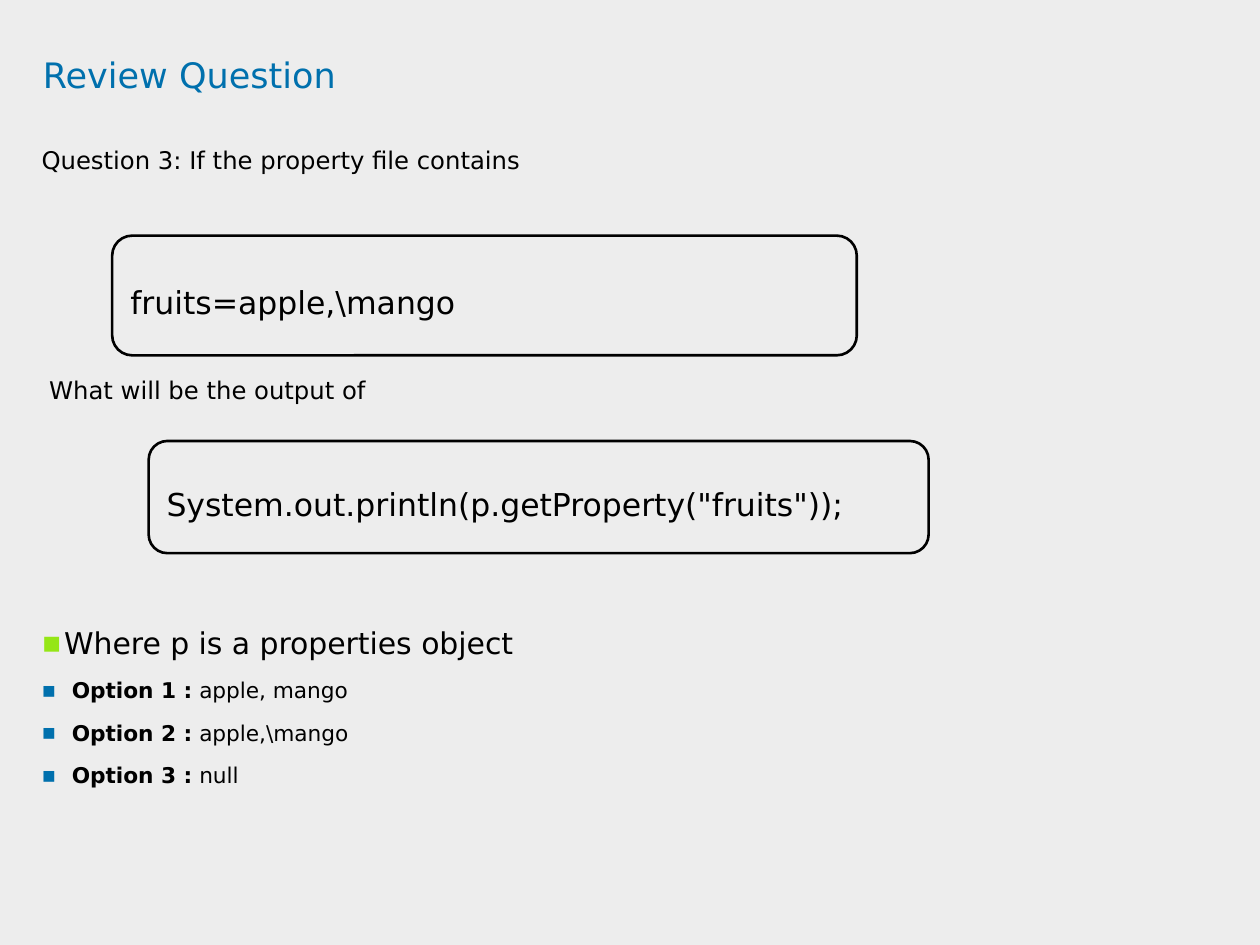
from lxml.etree import SubElement
from pptx import Presentation
from pptx.dml.color import RGBColor
from pptx.enum.shapes import MSO_SHAPE as SHAPE
from pptx.enum.text import MSO_ANCHOR as ANCHOR, PP_ALIGN as ALIGN
from pptx.oxml.ns import qn
from pptx.util import Inches, Pt

BLUE, GREEN, BLACK, GREY = "0070AD", "95E616", "000000", "EDEDED"


def rgb(value):
    return RGBColor.from_string(value)


def set_attrs(obj, values):
    for name, value in values.items():
        setattr(obj, name, value)


class ReviewSlide:
    font = "DejaVu Sans"
    no_margins = dict.fromkeys(
        ("margin_left", "margin_top", "margin_right", "margin_bottom"), 0)

    def __init__(self, prs):
        self.slide = prs.slides.add_slide(prs.slide_layouts[5])
        fill = self.slide.background.fill
        fill.solid()
        fill.fore_color.rgb = rgb(GREY)

    def add_runs(self, p, runs, size, color=BLACK, spacing=1.3, after=0):
        """Fill a paragraph with (text, bold) runs."""
        set_attrs(p, {"alignment": ALIGN.LEFT, "line_spacing": spacing,
                      "space_before": Pt(0), "space_after": Pt(after)})
        for text, bold in runs:
            r = p.add_run()
            r.text = text
            set_attrs(r.font, {"name": self.font, "size": Pt(size), "bold": bold})
            r.font.color.rgb = rgb(color)

    def title(self, text, left, top, width, height):
        sp = self.slide.shapes.title
        set_attrs(sp, {"left": Inches(left), "top": Inches(top),
                       "width": Inches(width), "height": Inches(height)})
        tf = sp.text_frame
        set_attrs(tf, {**self.no_margins, "vertical_anchor": ANCHOR.TOP})
        self.add_runs(tf.paragraphs[0], [(text, False)], 20, BLUE, 0.9)

    def text_box(self, left, top, width, height):
        sp = self.slide.shapes.add_textbox(
            Inches(left), Inches(top), Inches(width), Inches(height))
        set_attrs(sp.text_frame, {**self.no_margins, "word_wrap": True})
        return sp.text_frame

    def line(self, text, left, top):
        tf = self.text_box(left, top, 7.47, 0.35)
        self.add_runs(tf.paragraphs[0], [(text, False)], 13.9)

    def bullets(self, items, left, top, width, height):
        """Add (runs, size, bullet colour, indent) items as a list."""
        tf = self.text_box(left, top, width, height)
        for i, (runs, size, color, indent) in enumerate(items):
            p = tf.add_paragraph() if i else tf.paragraphs[0]
            self.add_runs(p, runs, size, after=5)
            pPr = p._p.get_or_add_pPr()
            pPr.set("marL", str(Inches(indent)))
            pPr.set("indent", str(-Inches(indent)))
            SubElement(SubElement(pPr, qn("a:buClr")), qn("a:srgbClr"), val=color)
            SubElement(pPr, qn("a:buFont"), typeface=self.font)
            SubElement(pPr, qn("a:buChar"), char="▪")

    def code_box(self, text, left, top, width, height):
        sp = self.slide.shapes.add_shape(
            SHAPE.ROUNDED_RECTANGLE, Inches(left), Inches(top),
            Inches(width), Inches(height))
        sp.shadow.inherit = False
        sp.fill.background()
        sp.line.color.rgb = rgb(BLACK)
        sp.line.width = Pt(1.5)
        set_attrs(sp.text_frame, {"word_wrap": True, "vertical_anchor": ANCHOR.MIDDLE})
        self.add_runs(sp.text_frame.paragraphs[0], [(text, False)], 18, spacing=1.35)


def main():
    prs = Presentation()
    prs.slide_width, prs.slide_height = Inches(10), Inches(7.5)
    s = ReviewSlide(prs)
    s.title("Review Question", 0.34, 0.46, 9.09, 0.94)
    s.line("Question 3: If the property file contains", 0.33, 1.08)
    s.code_box("fruits=apple,\\mango", 0.89, 1.87, 5.91, 0.95)
    s.line("What will be the output of", 0.39, 2.91)
    s.code_box('System.out.println(p.getProperty("fruits"));', 1.18, 3.5, 6.19, 0.89)

    items = [([("Where p is a properties object", False)], 17.1, GREEN, 0.18)]
    for number, answer in enumerate(("apple, mango", "apple,\\mango", "null"), 1):
        runs = [(f"Option {number} :", True), (f" {answer}", False)]
        items.append((runs, 12.4, BLUE, 0.24))
    s.bullets(items, 0.33, 4.87, 7.53, 1.85)
    prs.save("out.pptx")


if __name__ == "__main__":
    main()
